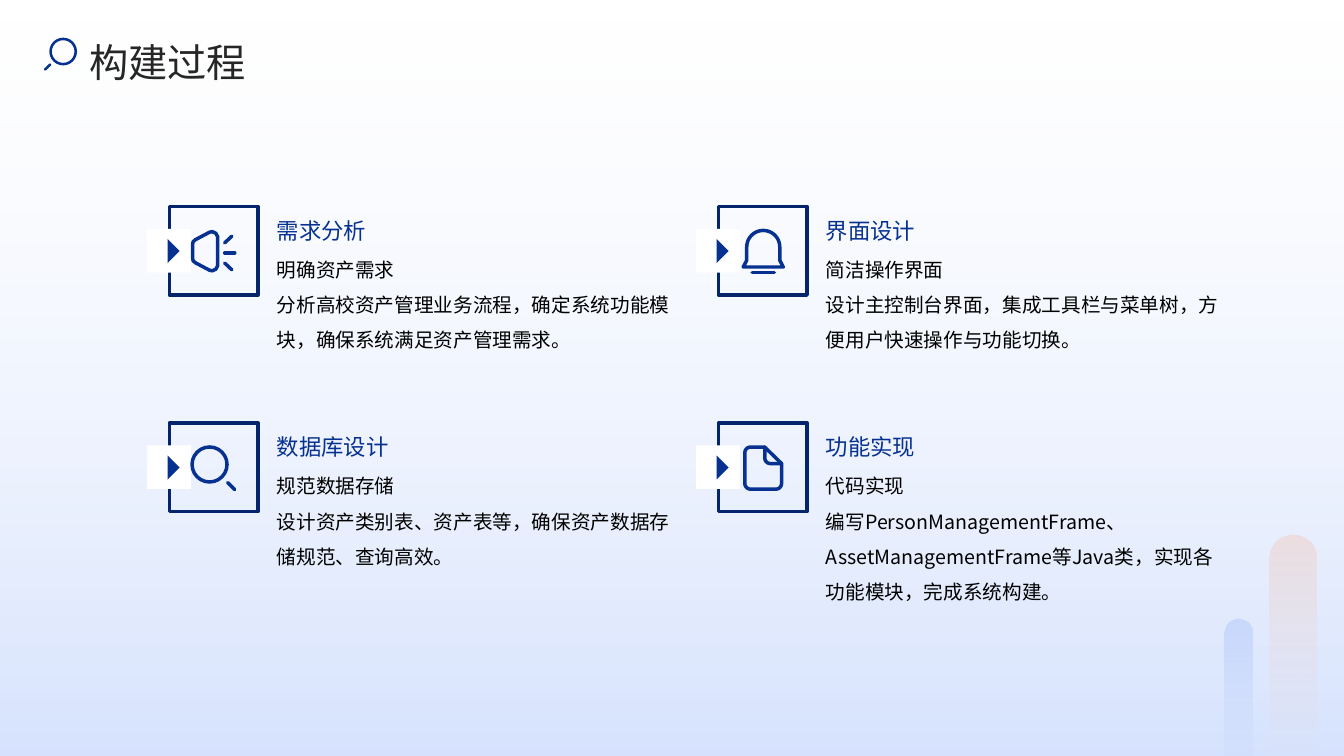
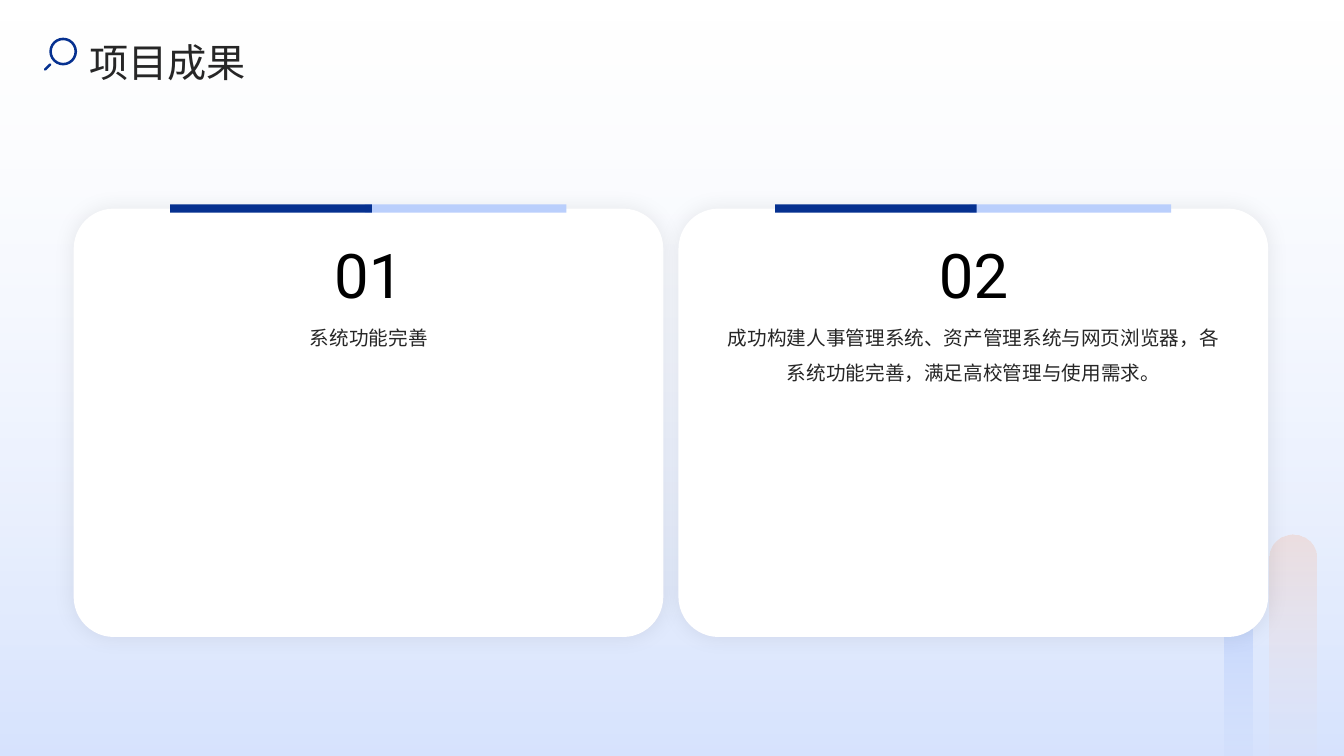
from dataclasses import dataclass
from math import cos, radians, sin

from lxml.etree import SubElement
from pptx import Presentation
from pptx.dml.color import RGBColor
from pptx.enum.shapes import MSO_CONNECTOR, MSO_SHAPE
from pptx.enum.text import MSO_ANCHOR, PP_ALIGN
from pptx.oxml.ns import qn
from pptx.util import Pt


@dataclass(frozen=True)
class Theme:
    navy: str = "063190"
    frame: str = "04256C"
    pale: str = "BACFFC"
    vivid: str = "306EF6"
    coral: str = "FD9969"
    peach: str = "FEDDCD"
    white: str = "FFFFFF"
    black: str = "000000"
    ink: str = "262626"
    sans: str = "Noto Sans CJK SC"
    digit: str = "Roboto"
    title: int = 28
    head: int = 16
    body: int = 14
    number: int = 44


THEME = Theme()
WIDTH, HEIGHT = 960, 540


def rgb(code):
    return RGBColor.from_string(code)


def pts(values):
    return [Pt(value) for value in values]


def shape(slide, kind, box, fill=None, line=None, weight=2.5, round=None):
    item = slide.shapes.add_shape(kind, *pts(box))
    if round is not None:
        item.adjustments[0] = round
    return paint(item, fill, line, weight)


def paint(item, fill=None, line=None, weight=2.5):
    item.shadow.inherit = False
    if fill:
        item.fill.solid()
        item.fill.fore_color.rgb = rgb(fill)
    else:
        item.fill.background()
    if line:
        pen(item, line, weight)
    else:
        item.line.fill.background()
    return item


def pen(item, color, weight):
    item.line.color.rgb = rgb(color)
    item.line.width = Pt(weight)


def soften(item):
    """Give a line round caps and joins."""
    line = item.element.spPr.find(qn("a:ln"))
    line.set("cap", "rnd")
    SubElement(line, qn("a:round"))


def fade(item, *stops):
    """Fill from top to bottom with (colour, opacity percent) stops."""
    item.fill.gradient()
    item.fill.gradient_angle = 270
    for stop, (color, _) in zip(item.fill.gradient_stops, stops):
        stop.color.rgb = rgb(color)
    colors = item.element.spPr.find(qn("a:gradFill")).iter(qn("a:srgbClr"))
    for color, (_, alpha) in zip(colors, stops):
        SubElement(color, qn("a:alpha"), val=str(alpha * 1000))


def glow(item, blur, alpha):
    """Add a soft shadow that is not shifted."""
    effects = item.element.spPr.find(qn("a:effectLst"))
    shade = SubElement(effects, qn("a:outerShdw"), blurRad=str(Pt(blur)),
                       dist="0", dir="0", algn="ctr", rotWithShape="0")
    color = SubElement(shade, qn("a:srgbClr"), val=THEME.black)
    SubElement(color, qn("a:alpha"), val=str(alpha * 1000))


def text(slide, box, words, size=THEME.body, color=THEME.ink, font=THEME.sans,
         align=PP_ALIGN.LEFT, anchor=MSO_ANCHOR.TOP, lead=1.5, inset=(0, 0),
         edge=None):
    frame = slide.shapes.add_textbox(*pts(box)).text_frame
    frame.word_wrap = True
    frame.vertical_anchor = anchor
    frame.margin_left = frame.margin_right = Pt(inset[0])
    frame.margin_top = frame.margin_bottom = Pt(inset[1])
    para = frame.paragraphs[0]
    para.text = words
    para.alignment = align
    para.line_spacing = lead
    for run in para.runs:
        run.font.size = Pt(size)
        run.font.color.rgb = rgb(color)
        run.font.name = font
        props = run.font._element
        SubElement(props, qn("a:ea"), typeface=font)
        if edge:
            line = SubElement(props, qn("a:ln"), w=str(Pt(edge)))
            fill = SubElement(line, qn("a:solidFill"))
            SubElement(fill, qn("a:srgbClr"), val=color)
            props.insert(0, line)


def outline(slide, points, closed=True):
    (left, top), *rest = [pts(point) for point in points]
    path = slide.shapes.build_freeform(left, top)
    path.add_line_segments(rest, close=closed)
    return path.convert_to_shape()


def stroke(slide, points, closed=True):
    item = paint(outline(slide, points, closed), line=THEME.navy)
    soften(item)


def segment(slide, start, end, weight=2.5):
    item = slide.shapes.add_connector(MSO_CONNECTOR.STRAIGHT,
                                      *pts((*start, *end)))
    pen(item, THEME.navy, weight)
    soften(item)
    SubElement(item.element.spPr, qn("a:effectLst"))


def arc(x, y, radius, start, end, steps=24):
    """Points on an arc, with degrees running clockwise from the right."""
    turns = [radians(start + (end - start) * i / steps)
             for i in range(steps + 1)]
    return [(x + radius * cos(t), y + radius * sin(t)) for t in turns]


def shift(points, x, y):
    return [(x + dx, y + dy) for dx, dy in points]


def lens(slide, x, y, radius, side, weight):
    """Magnifier centred at x, y; side 1 or -1 turns its handle."""
    shape(slide, MSO_SHAPE.OVAL,
          (x - radius, y - radius, 2 * radius, 2 * radius),
          line=THEME.navy, weight=weight)
    near, far = ((x + side * radius * k, y + radius * k) for k in (1.03, 1.43))
    segment(slide, near, far, weight)


def horn(slide, x, y):
    mid = 33.3
    upper = [(17.8, 28.5), (18.3, 26.4), (20, 25), (30, 19.7), (32, 19.3),
             (34.5, 20.5), (35.8, 23)]
    lower = [(dx, 2 * mid - dy) for dx, dy in reversed(upper)]
    stroke(slide, shift(upper + lower, x, y))
    for reach, slant in ((45.9, -12), (48, 0), (45.9, 12)):
        segment(slide, (x + 40.8, y + 34.5 + slant * 0.6),
                (x + reach, y + 34.5 + slant))


def search(slide, x, y):
    lens(slide, x + 30, y + 31, 12.5, 1, 2.5)


def bell(slide, x, y):
    dome = arc(33.3, 30.2, 11.8, 180, 360)
    points = [(19, 44.5), (21.5, 39.7), *dome, (45.1, 39.7), (47.6, 44.5)]
    stroke(slide, shift(points, x, y))
    segment(slide, (x + 25.4, y + 48.6), (x + 41.2, y + 48.6))


def sheet(slide, x, y):
    left, top, right, base, curve = 20.2, 18.6, 46.4, 48.6, 4
    fold, crease = 34.4, 30.3
    points = [(fold, top), (right, crease),
              *arc(right - curve, base - curve, curve, 0, 90),
              *arc(left + curve, base - curve, curve, 90, 180),
              *arc(left + curve, top + curve, curve, 180, 270)]
    stroke(slide, shift(points, x, y))
    flap = [(fold, top), *arc(fold + curve, crease - curve, curve, 180, 90),
            (right, crease)]
    stroke(slide, shift(flap, x, y), closed=False)


def step(slide, x, y, icon, head, body):
    """Framed icon with its heading and description."""
    shape(slide, MSO_SHAPE.RECTANGLE, (x + 1.25, y + 1.25, 63.3, 63.3),
          line=THEME.frame)
    shape(slide, MSO_SHAPE.RECTANGLE, (x - 14.6, y + 17.3, 31.2, 31.2),
          fill=THEME.white)
    arrow = [(0, 24.5), (8.6, 33.1), (0, 41.7)]
    paint(outline(slide, shift(arrow, x, y)), fill=THEME.navy)
    icon(slide, x, y)
    text(slide, (x + 78, y, 282.2, 27.4), head, size=THEME.head,
         color=THEME.navy, anchor=MSO_ANCHOR.MIDDLE)
    text(slide, (x + 78, y + 29.6, 282.2, 90.7), body, color=THEME.black)


def card(slide, x, y, number, body):
    panel = shape(slide, MSO_SHAPE.ROUNDED_RECTANGLE, (x, y, 421.2, 306),
                  fill=THEME.white, round=0.094)
    glow(panel, 15, 8)
    text(slide, (x + 24, y + 72, 373.7, 195.8), body,
         align=PP_ALIGN.CENTER, inset=(7.2, 3.6))
    text(slide, (x + 24, y + 11.5, 373.7, 50.4), number, size=THEME.number,
         color=THEME.black, font=THEME.digit, align=PP_ALIGN.CENTER,
         lead=1.1, inset=(7.2, 3.6), edge=0.75)
    for gap, color in ((208, THEME.pale), (69, THEME.navy)):
        shape(slide, MSO_SHAPE.RECTANGLE, (x + gap, y - 3, 144, 5.8),
              fill=color)


def page(deck, title):
    """New slide with the shared backdrop and title."""
    slide = deck.slides.add_slide(deck.slide_layouts[6])
    back = shape(slide, MSO_SHAPE.RECTANGLE, (0, 0, WIDTH, HEIGHT))
    fade(back, (THEME.pale, 0), (THEME.vivid, 20))
    pills = (((907, 382, 33.2, 183), (THEME.coral, 20), (THEME.peach, 0)),
             ((874.6, 442, 20, 140), (THEME.vivid, 15), (THEME.pale, 0)))
    for box, *stops in pills:
        pill = shape(slide, MSO_SHAPE.ROUNDED_RECTANGLE, box, round=0.5)
        fade(pill, *stops)
    text(slide, (64, 17.3, 817, 42.5), title, size=THEME.title, lead=1.3)
    lens(slide, 45.1, 36.8, 9, -1, 1.8)
    return slide


def main():
    deck = Presentation()
    deck.slide_width, deck.slide_height = Pt(WIDTH), Pt(HEIGHT)

    slide = page(deck, "构建过程")
    steps = (
        (horn, "需求分析", "明确资产需求\v分析高校资产管理业务流程，"
         "确定系统功能模块，确保系统满足资产管理需求。"),
        (bell, "界面设计", "简洁操作界面\v设计主控制台界面，"
         "集成工具栏与菜单树，方便用户快速操作与功能切换。"),
        (search, "数据库设计", "规范数据存储\v设计资产类别表、资产表等，"
         "确保资产数据存储规范、查询高效。"),
        (sheet, "功能实现", "代码实现\v编写PersonManagementFrame、"
         "AssetManagementFrame等Java类，实现各功能模块，完成系统构建。"),
    )
    for i, item in enumerate(steps):
        row, col = divmod(i, 2)
        step(slide, 119.7 + 392.2 * col, 146.2 + 154.6 * row, *item)

    slide = page(deck, "项目成果")
    results = ("系统功能完善",
               "成功构建人事管理系统、资产管理系统与网页浏览器，"
               "各系统功能完善，满足高校管理与使用需求。")
    for i, body in enumerate(results):
        card(slide, 52.6 + 432 * i, 149, f"{i + 1:02}", body)

    deck.save("out.pptx")


if __name__ == "__main__":
    main()
